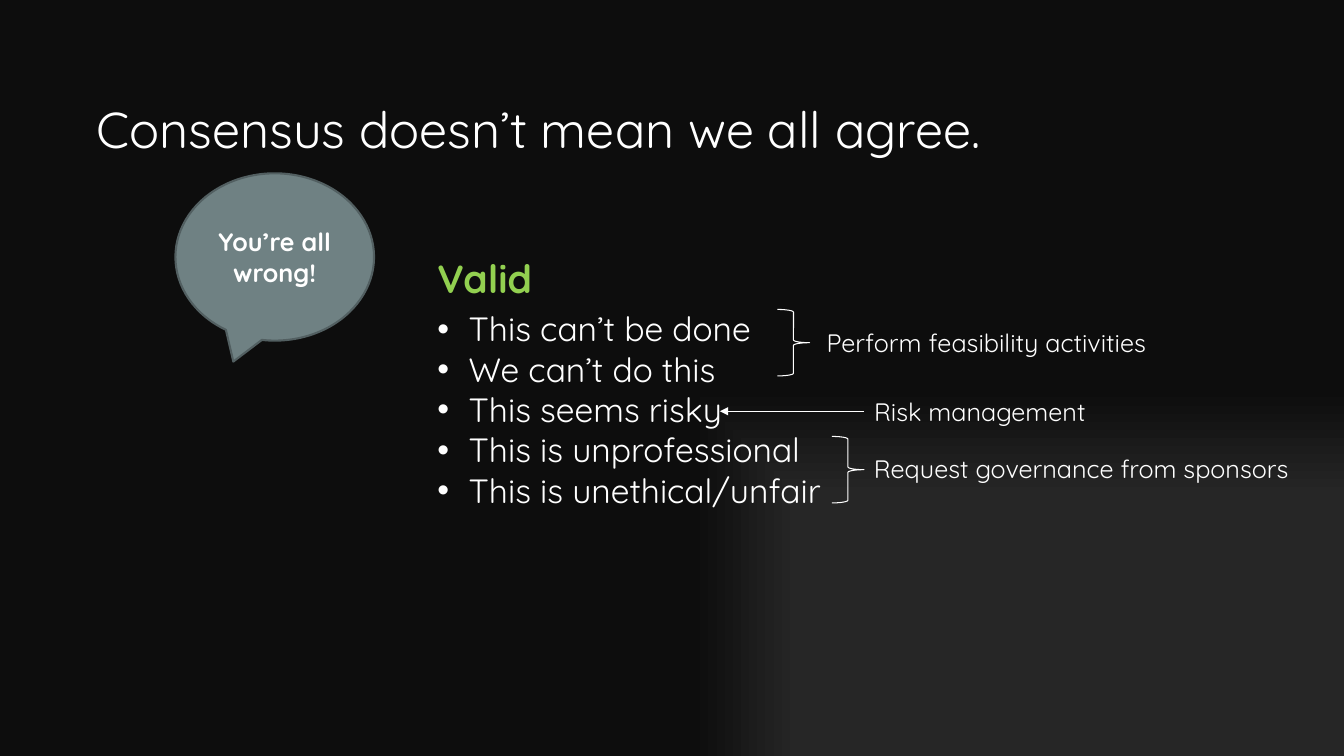
from dataclasses import dataclass
from lxml import etree
from pptx import Presentation
from pptx import util as u
from pptx.dml import color
from pptx.enum import shapes, text
from pptx.oxml import ns


@dataclass(frozen=True)
class Theme:
    font: str = "Quicksand"
    white: str = "FFFFFF"
    green: str = "92D050"
    slate: str = "6F8183"
    edge: str = "525F61"
    glow: str = "262626"
    night: str = "0D0D0D"
    title: int = 36
    head: int = 28
    body: int = 24
    label: int = 18
    thin: float = 0.75
    thick: float = 1.5


LOOK = Theme()
INDENT = 0.31


def rgb(code):
    return color.RGBColor.from_string(code)


def add_node(parent, tag, **attrs):
    return etree.SubElement(parent, ns.qn(tag), attrs)


def set_back(slide):
    fill = slide.background.fill
    fill.gradient()
    grad = slide.background.element.find(".//" + ns.qn("a:gradFill"))
    for child in list(grad):
        grad.remove(child)
    stops = add_node(grad, "a:gsLst")
    for pos, code in ((0, LOOK.glow), (69, LOOK.glow), (97, LOOK.night)):
        stop = add_node(stops, "a:gs", pos=str(pos * 1000))
        add_node(stop, "a:srgbClr", val=code)
    route = add_node(grad, "a:path", path="rect")
    add_node(route, "a:fillToRect", l="100000", t="100000")


def style(para, size, code=LOOK.white, bold=False):
    for run in para.runs:
        run.font.name = LOOK.font
        run.font.size = u.Pt(size)
        run.font.bold = bold
        run.font.color.rgb = rgb(code)


def add_text(slide, area, words, size, code=LOOK.white, bold=False):
    box = slide.shapes.add_textbox(*map(u.Inches, area))
    frame = box.text_frame
    frame.word_wrap = True
    frame.auto_size = text.MSO_AUTO_SIZE.SHAPE_TO_FIT_TEXT
    frame.text = words
    for para in frame.paragraphs:
        style(para, size, code, bold)
    return box


def add_list(slide, area, items):
    box = add_text(slide, area, "\n".join(items), LOOK.body)
    step = u.Inches(INDENT)
    for para in box.text_frame.paragraphs:
        props = para._p.get_or_add_pPr()
        props.set("marL", str(step))
        props.set("indent", str(-step))
        add_node(props, "a:buFont", typeface="Arial")
        add_node(props, "a:buChar", char="•")


def add_form(slide, kind, area, line, width):
    form = slide.shapes.add_shape(kind, *map(u.Inches, area))
    form.shadow.inherit = False
    form.fill.background()
    form.line.color.rgb = rgb(line)
    form.line.width = u.Pt(width)
    return form


def add_bubble(slide, area, words):
    form = add_form(slide, shapes.MSO_SHAPE.OVAL_CALLOUT, area, LOOK.edge, LOOK.thick)
    form.fill.solid()
    form.fill.fore_color.rgb = rgb(LOOK.slate)
    frame = form.text_frame
    frame.word_wrap = True
    frame.vertical_anchor = text.MSO_ANCHOR.MIDDLE
    frame.text = words
    para = frame.paragraphs[0]
    para.alignment = text.PP_ALIGN.CENTER
    style(para, LOOK.label, bold=True)


def add_brace(slide, left, top):
    add_form(slide, shapes.MSO_SHAPE.RIGHT_BRACE, (left, top, 0.32, 0.66),
             LOOK.white, LOOK.thin)


def add_label(slide, left, top, width, words):
    return add_text(slide, (left, top, width, 0.4), words, LOOK.label)


def add_arrow(slide, label, tip, level):
    start = label.left, label.top + label.height // 2
    end = u.Inches(tip), u.Inches(level)
    arrow = slide.shapes.add_connector(shapes.MSO_CONNECTOR.STRAIGHT, *start, *end)
    arrow.begin_connect(label, 1)
    arrow.line.color.rgb = rgb(LOOK.white)
    arrow.line.width = u.Pt(LOOK.thin)
    add_node(arrow.line._get_or_add_ln(), "a:tailEnd", type="triangle")
    add_node(arrow._element.spPr, "a:effectLst")


def main():
    deck = Presentation()
    deck.slide_width = u.Inches(13.33)
    deck.slide_height = u.Inches(7.5)
    slide = deck.slides.add_slide(deck.slide_layouts[6])
    set_back(slide)
    add_text(slide, (0.86, 0.92, 9.87, 0.71),
             "Consensus doesn’t mean we all agree.", LOOK.title)
    add_bubble(slide, (1.74, 1.72, 1.97, 1.66), "You’re all wrong!")
    add_text(slide, (4.24, 2.47, 2.9, 0.57), "Valid", LOOK.head, LOOK.green, True)
    add_list(slide, (4.24, 3.01, 4.85, 2.12), (
        "This can’t be done",
        "We can’t do this",
        "This seems risky",
        "This is unprofessional",
        "This is unethical/unfair",
    ))
    add_brace(slide, 7.71, 3.07)
    add_label(slide, 8.1, 3.2, 3.92, "Perform feasibility activities")
    risk = add_label(slide, 8.57, 3.88, 3.28, "Risk management")
    add_arrow(slide, risk, 7.14, 4.08)
    add_brace(slide, 8.25, 4.33)
    add_label(slide, 8.57, 4.45, 4.67, "Request governance from sponsors")
    deck.save("out.pptx")


if __name__ == "__main__":
    main()
